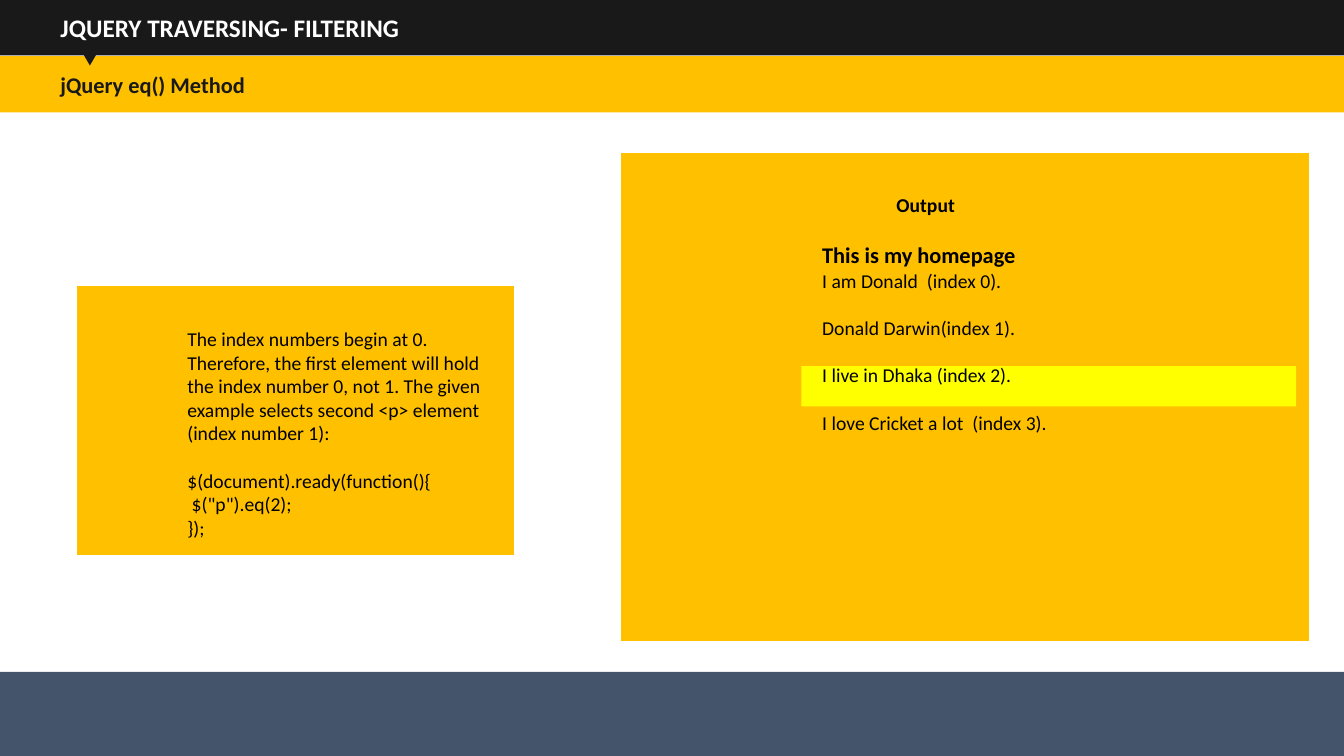
from typing import NamedTuple

from pptx import Presentation
from pptx.dml.color import RGBColor
from pptx.enum.shapes import MSO_SHAPE as Preset
from pptx.enum.text import MSO_ANCHOR as Anchor, PP_ALIGN as Align
from pptx.util import Emu, Pt

COLUMNS, ROWS = 160, 90
CELL = 76200
FONT = "Calibri"
INK, AMBER, WHITE, BLACK = "191919", "FFC000", "FFFFFF", "000000"
YELLOW, SLATE = "FFFF00", "44546A"
BODY_SIZE, BLANK_LINE = 14, 17


class Box(NamedTuple):
    """A rectangle measured in grid columns and rows."""
    left: float
    top: float
    width: float
    height: float

    def inner(self, left, top, width, height):
        """Return a box placed relative to this one."""
        return Box(self.left + left, self.top + top, width, height)


class Line(NamedTuple):
    """One paragraph and its look."""
    text: str
    size: int = BODY_SIZE
    bold: bool = False
    color: str = BLACK
    before: int = 0
    spacing: float = 1.0


def cells(count):
    """Turn grid cells into a length."""
    return Emu(round(count * CELL))


def paint(color_format, color):
    """Apply a hex colour to a fill or a font."""
    if hasattr(color_format, "solid"):
        color_format.solid()
        color_format = color_format.fore_color
    else:
        color_format = color_format.color
    color_format.rgb = RGBColor.from_string(color)


def add_block(page, box, color, outline=None, preset=Preset.RECTANGLE):
    """Draw a flat filled shape."""
    shape = page.shapes.add_shape(preset, *map(cells, box))
    shape.shadow.inherit = False
    paint(shape.fill, color)
    if outline:
        paint(shape.line.fill, outline)
        shape.line.width = Pt(1)
    else:
        shape.line.fill.background()
    return shape


def write(shape, lines, left=1.2, top=0.6, anchor=Anchor.TOP, align=Align.LEFT):
    """Fill a shape with formatted paragraphs."""
    frame = shape.text_frame
    frame.word_wrap = True
    frame.vertical_anchor = anchor
    frame.margin_left, frame.margin_right = cells(left), cells(1.2)
    frame.margin_top, frame.margin_bottom = cells(top), cells(0.6)
    frame.text = "\n".join(line.text for line in lines)
    for para, line in zip(frame.paragraphs, lines):
        para.alignment = align
        para.line_spacing = line.spacing
        para.space_before = Pt(line.before)
        for span in para.runs:
            span.font.name = FONT
            span.font.size = Pt(line.size)
            span.font.bold = line.bold
            paint(span.font, line.color)


def add_header(page, box):
    """Draw the title bar, the subtitle bar and the pointer between them."""
    half = box.height / 2
    bars = [
        (0, half - 0.1, INK, Line("JQUERY TRAVERSING- FILTERING", 18, True, WHITE)),
        (half, half, AMBER, Line("jQuery eq() Method", 16, True, INK)),
    ]
    for top, height, color, line in bars:
        bar = add_block(page, box.inner(0, top, box.width, height), color)
        write(bar, [line], left=7.2, anchor=Anchor.MIDDLE)
    pointer = add_block(page, box.inner(9.6, half - 0.8, 2.2, 1.9), INK,
                        preset=Preset.ISOSCELES_TRIANGLE)
    pointer.rotation = 180


def add_explanation(page, box):
    """Draw the panel with the explanation and the code."""
    panel = add_block(page, box, AMBER, WHITE)
    write(panel, [
        Line("The index numbers begin at 0. Therefore, the first element will "
             "hold the index number 0, not 1. The given example selects second "
             "<p> element (index number 1):"),
        Line("$(document).ready(function(){", before=BLANK_LINE),
        Line(' $("p").eq(2);'),
        Line("});"),
    ], left=13.2, top=3.5, anchor=Anchor.MIDDLE)


def add_output(page, box):
    """Draw the output panel with its highlighted line."""
    add_block(page, box, AMBER, WHITE)
    add_block(page, box.inner(21.6, 25.5, 58.9, 4.8), YELLOW)
    heading = page.shapes.add_textbox(*map(cells, box.inner(14.4, 4.3, 44, 4.1)))
    write(heading, [Line("Output", bold=True)], align=Align.CENTER)
    result = page.shapes.add_textbox(*map(cells, box.inner(22.9, 9.6, 59.2, 25.2)))
    write(result, [
        Line("This is my homepage", 16, True, spacing=1.15),
        Line("I am Donald  (index 0)."),
        Line("Donald Darwin(index 1).", before=BLANK_LINE),
        Line("I live in Dhaka (index 2).", before=BLANK_LINE),
        Line("I love Cricket a lot  (index 3).", before=BLANK_LINE),
    ])


def main():
    """Build the slide and save it."""
    deck = Presentation()
    deck.slide_width, deck.slide_height = cells(COLUMNS), cells(ROWS)
    page = deck.slides.add_slide(deck.slide_layouts[6])
    add_block(page, Box(0, 80, COLUMNS, 10), SLATE)
    add_output(page, Box(73.8, 18.1, 82.1, 58.3))
    add_header(page, Box(0, 0, COLUMNS, 13.4))
    add_explanation(page, Box(9.1, 34, 52.2, 32.2))
    deck.save("out.pptx")


if __name__ == "__main__":
    main()
